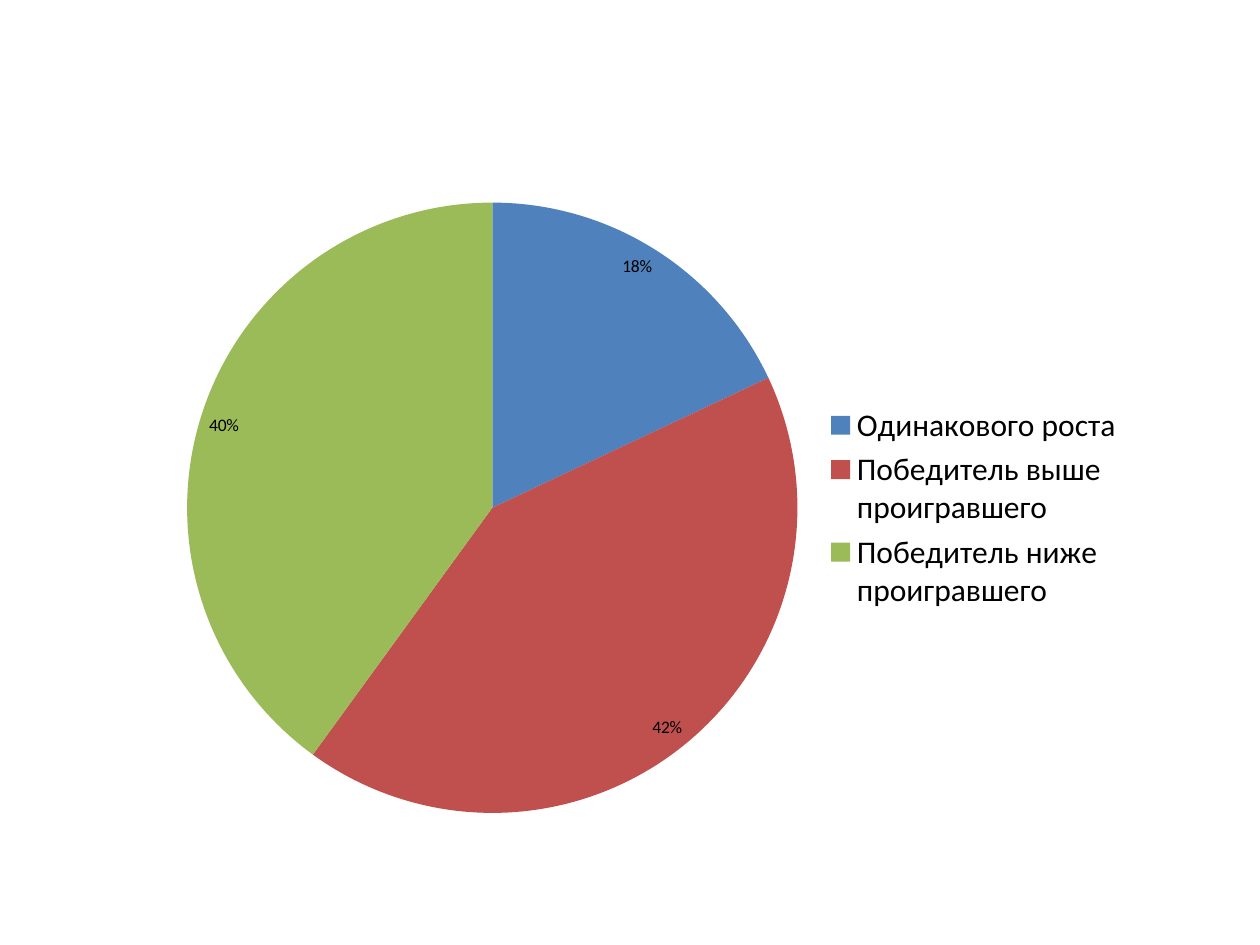
from pptx import Presentation
from pptx.chart.data import CategoryChartData
from pptx.dml.color import RGBColor
from pptx.enum.chart import XL_CHART_TYPE as ChartType
from pptx.enum.chart import XL_LABEL_POSITION as LabelPos
from pptx.enum.chart import XL_LEGEND_POSITION as LegendPos
from pptx.util import Pt

# Category, share, slice colour
SLICES = [
    ("Одинакового роста", 0.18, "4F81BD"),
    ("Победитель выше проигравшего", 0.42, "C0504D"),
    ("Победитель ниже проигравшего", 0.40, "9BBB59"),
]


def rgb(color):
    return RGBColor.from_string(color)


def set_font(font, size):
    font.name = "Calibri"
    font.size = Pt(size)
    font.color.rgb = rgb("000000")


def add_pie(slide, left, top, width, height):
    names, shares, colors = zip(*SLICES)
    data = CategoryChartData(number_format="0%")
    data.categories = names
    data.add_series("Series 1", shares)
    chart = slide.shapes.add_chart(
        ChartType.PIE, Pt(left), Pt(top), Pt(width), Pt(height), data
    ).chart
    chart.has_title = False
    set_font(chart.font, 10)

    # Slice colours
    plot = chart.plots[0]
    plot.vary_by_categories = True
    for i, color in enumerate(colors):
        fill = plot.series[0].points[i].format.fill
        fill.solid()
        fill.fore_color.rgb = rgb(color)

    # Value labels
    plot.has_data_labels = True
    labels = plot.data_labels
    labels.show_value = True
    labels.show_percentage = False
    labels.number_format = "0%"
    labels.number_format_is_linked = False
    labels.position = LabelPos.INSIDE_END
    set_font(labels.font, 10)

    # Legend
    chart.has_legend = True
    chart.legend.position = LegendPos.RIGHT
    chart.legend.include_in_layout = False
    set_font(chart.legend.font, 18)


def main():
    prs = Presentation()
    prs.slide_width, prs.slide_height = Pt(720), Pt(540)
    slide = prs.slides.add_slide(prs.slide_layouts[6])
    add_pie(slide, 93.6, 105.84, 555.84, 368.64)
    prs.save("out.pptx")


if __name__ == "__main__":
    main()
